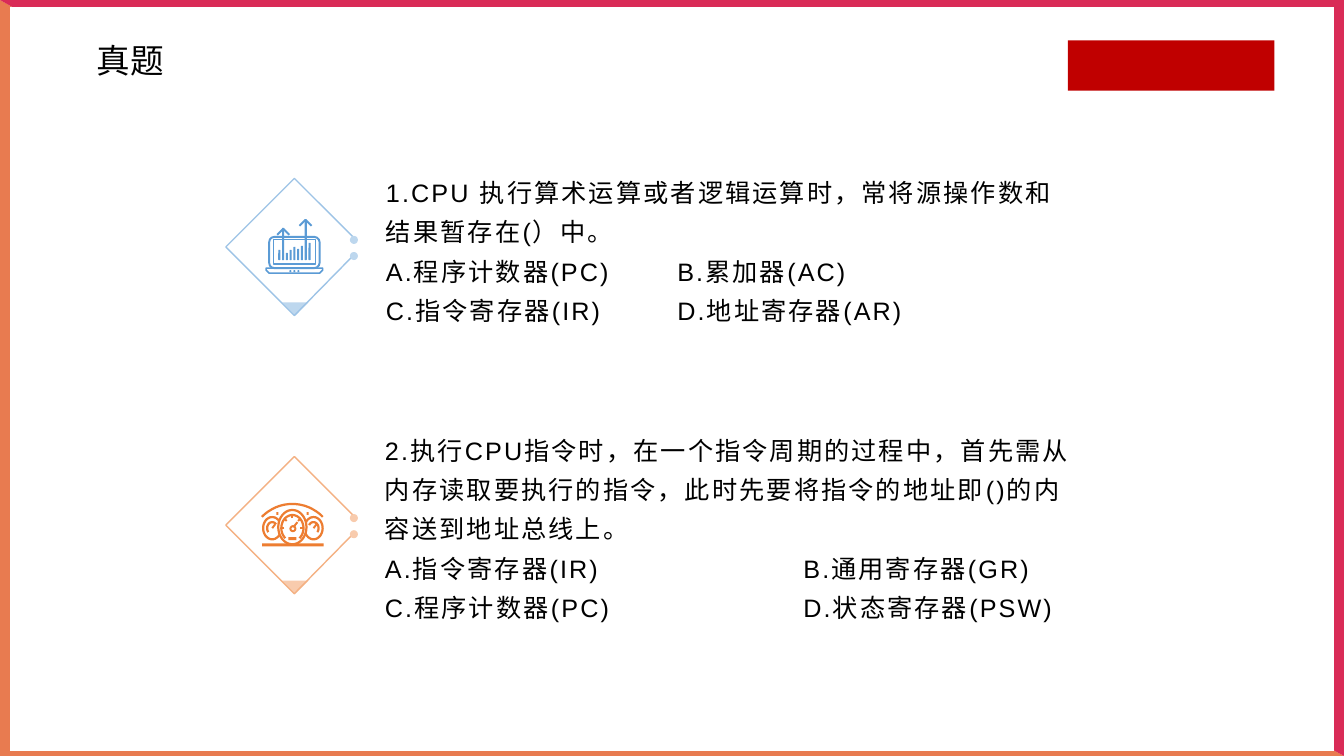
import math
import pptx
import pptx.util
import pptx.oxml
import pptx.dml.color
import pptx.enum.shapes
import pptx.enum.text

theme = {
    "red": "D92B57", "rust": "E87B50", "white": "FFFFFF", "black": "000000",
    "mark": "C00000",
    "blue": {"icon": "5B9BD5", "edge": "9DC3E6", "pale": "BDD7EE"},
    "warm": {"icon": "ED7D31", "edge": "F4B183", "pale": "F8CBAD"},
    "title": 24, "body": 18,
}
inch = pptx.util.Inches
point = pptx.util.Pt
color = pptx.dml.color.RGBColor.from_string
kind = pptx.enum.shapes.MSO_SHAPE
anchor = pptx.enum.text.MSO_ANCHOR

deck = pptx.Presentation()
deck.slide_width = inch(13.33)
deck.slide_height = inch(7.5)
slide = deck.slides.add_slide(deck.slide_layouts[6])
shapes = slide.shapes


def write(text, box, size, font, middle=False, space=None, pitch=None, stop=None):
    frame = shapes.add_textbox(*map(inch, box)).text_frame
    frame.word_wrap = True
    frame.vertical_anchor = anchor.MIDDLE if middle else anchor.TOP
    for index, line in enumerate(text.split("\n")):
        para = frame.paragraphs[0] if index == 0 else frame.add_paragraph()
        para.line_spacing = space
        run = para.add_run()
        run.text = line
        run.font.size = point(size)
        run.font.name = font
        run.font.color.rgb = color(theme["black"])
        if pitch:
            run._r.get_or_add_rPr().set("spc", str(pitch))
        if stop and "\t" in line:
            tabs = pptx.oxml.parse_xml(
                '<a:tabLst xmlns:a="http://schemas.openxmlformats.org/drawingml/2006/main">'
                f'<a:tab pos="{inch(stop)}" algn="l"/></a:tabLst>')
            para._p.get_or_add_pPr().append(tabs)


def draw(form, place, fill=None, line=None, width=1, spin=0, close=False):
    if form:
        shape = shapes.add_shape(form, *map(inch, place))
    else:
        dots = [(x * 1000, y * 1000) for x, y in place]
        path = shapes.build_freeform(*dots[0], scale=inch(1) / 1000)
        path.add_line_segments(dots[1:], close=close)
        shape = path.convert_to_shape()
    shape.shadow.inherit = False
    shape.rotation = spin
    if fill:
        shape.fill.solid()
        shape.fill.fore_color.rgb = color(fill)
    else:
        shape.fill.background()
    if line:
        shape.line.color.rgb = color(line)
        shape.line.width = point(width)
    else:
        shape.line.fill.background()


page = (0, 0, 13.33, 7.5)
draw(kind.RIGHT_TRIANGLE, page, theme["rust"])
draw(kind.RIGHT_TRIANGLE, page, theme["red"], spin=180)
draw(kind.RECTANGLE, (0.1, 0.07, 13.13, 7.38), theme["white"])

write("真题", (0.86, 0.35, 6.46, 0.5), theme["title"], "Calibri")
draw(kind.RECTANGLE, (10.59, 0.4, 2.05, 0.5), theme["mark"])

tasks = [
    ("blue", 1.77, 3.73, 1.29, 2.89,
     "1.CPU 执行算术运算或者逻辑运算时，常将源操作数和结果暂存在(）中。\n"
     "A.程序计数器(PC)\tB.累加器(AC)\n"
     "C.指令寄存器(IR)\tD.地址寄存器(AR)"),
    ("warm", 4.53, 3.72, 4.04, 4.15,
     "2.执行CPU指令时，在一个指令周期的过程中，首先需从内存读取要执行的指令，"
     "此时先要将指令的地址即()的内容送到地址总线上。\n"
     "A.指令寄存器(IR)\tB.通用寄存器(GR)\n"
     "C.程序计数器(PC)\tD.状态寄存器(PSW)"),
]
for tone, top, left, high, stop, text in tasks:
    hue = theme[tone]
    draw(kind.ISOSCELES_TRIANGLE, (2.8, top + 1.23, 0.26, 0.13), hue["pale"], spin=180)
    draw(None, [(3.5, top + 0.77), (2.92, top + 1.36), (2.24, top + 0.68),
                (2.92, top), (3.51, top + 0.59)], line=hue["edge"])
    for drop in (0.57, 0.73):
        draw(kind.OVAL, (3.47, top + drop, 0.08, 0.08), hue["pale"])
    write(text, (left, high, 7.07, 2.32), theme["body"], "Arial",
          middle=True, space=1.3, pitch=150, stop=stop)

ink = theme["blue"]["icon"]
draw(None, [(2.64, 2.66), (3.2, 2.66), (3.2, 2.68), (3.17, 2.71), (2.67, 2.71),
            (2.64, 2.68)], line=ink, width=1.2, close=True)
draw(kind.ROUNDED_RECTANGLE, (2.67, 2.35, 0.5, 0.31), line=ink, width=1.4)
draw(kind.RECTANGLE, (2.71, 2.38, 0.42, 0.24), line=ink, width=0.8)
for step in range(3):
    draw(kind.OVAL, (2.87 + 0.04 * step, 2.68, 0.02, 0.02), ink)
tops = [2.48, 2.26, 2.51, 2.48, 2.45, 2.47, 2.44, 2.18, 2.41]
for step, top in enumerate(tops):
    draw(kind.ROUNDED_RECTANGLE, (2.76 + 0.3 * step / 8, top, 0.02, 2.58 - top), ink)
for mid, tip in ((2.81, 2.27), (3.03, 2.18)):
    draw(None, [(mid - 0.06, tip + 0.06), (mid, tip), (mid + 0.06, tip + 0.06)],
         line=ink, width=1.4)

ink = theme["warm"]["icon"]
arcs = [
    (2.7, 5.24, 0.09, 0.11, 0, 360, None),
    (3.11, 5.24, 0.09, 0.11, 0, 360, None),
    (2.7, 5.24, 0.05, 0.06, 140, 320, None),
    (3.11, 5.24, 0.05, 0.06, 210, 400, None),
    (2.9, 5.23, 0.14, 0.17, 0, 360, theme["white"]),
    (2.9, 5.24, 0.11, 0.13, 130, 410, None),
    (2.9, 5.42, 0.42, 0.42, 224, 316, None),
]
for x, y, wide, high, start, end, fill in arcs:
    turns = [math.radians(start + (end - start) * step / 40) for step in range(41)]
    draw(None, [(x + wide * math.cos(turn), y + high * math.sin(turn)) for turn in turns],
         fill, ink, 1.6)

lines = [(2.91, 5.23, 2.95, 5.18), (2.7, 5.24, 2.73, 5.2), (3.11, 5.24, 3.14, 5.2)]
for angle in (180, 225, 270, 315, 360):
    turn = math.radians(angle)
    across, down = math.cos(turn), math.sin(turn)
    lines.append((2.9 + 0.08 * across, 5.24 + 0.1 * down,
                  2.9 + 0.11 * across, 5.24 + 0.13 * down))
for ends in lines:
    rod = shapes.add_connector(pptx.enum.shapes.MSO_CONNECTOR.STRAIGHT, *map(inch, ends))
    rod.line.color.rgb = color(ink)
    rod.line.width = point(1.4)
    rod._element.spPr.append(pptx.oxml.parse_xml(
        '<a:effectLst xmlns:a="http://schemas.openxmlformats.org/drawingml/2006/main"/>'))
draw(kind.OVAL, (2.88, 5.22, 0.05, 0.05), line=ink, width=1.4)
for box in ((2.86, 5.33, 0.08, 0.03), (2.74, 5.08, 0.02, 0.03),
            (3.04, 5.08, 0.02, 0.03), (2.6, 5.39, 0.61, 0.03)):
    draw(kind.RECTANGLE, box, ink)

deck.save("out.pptx")
